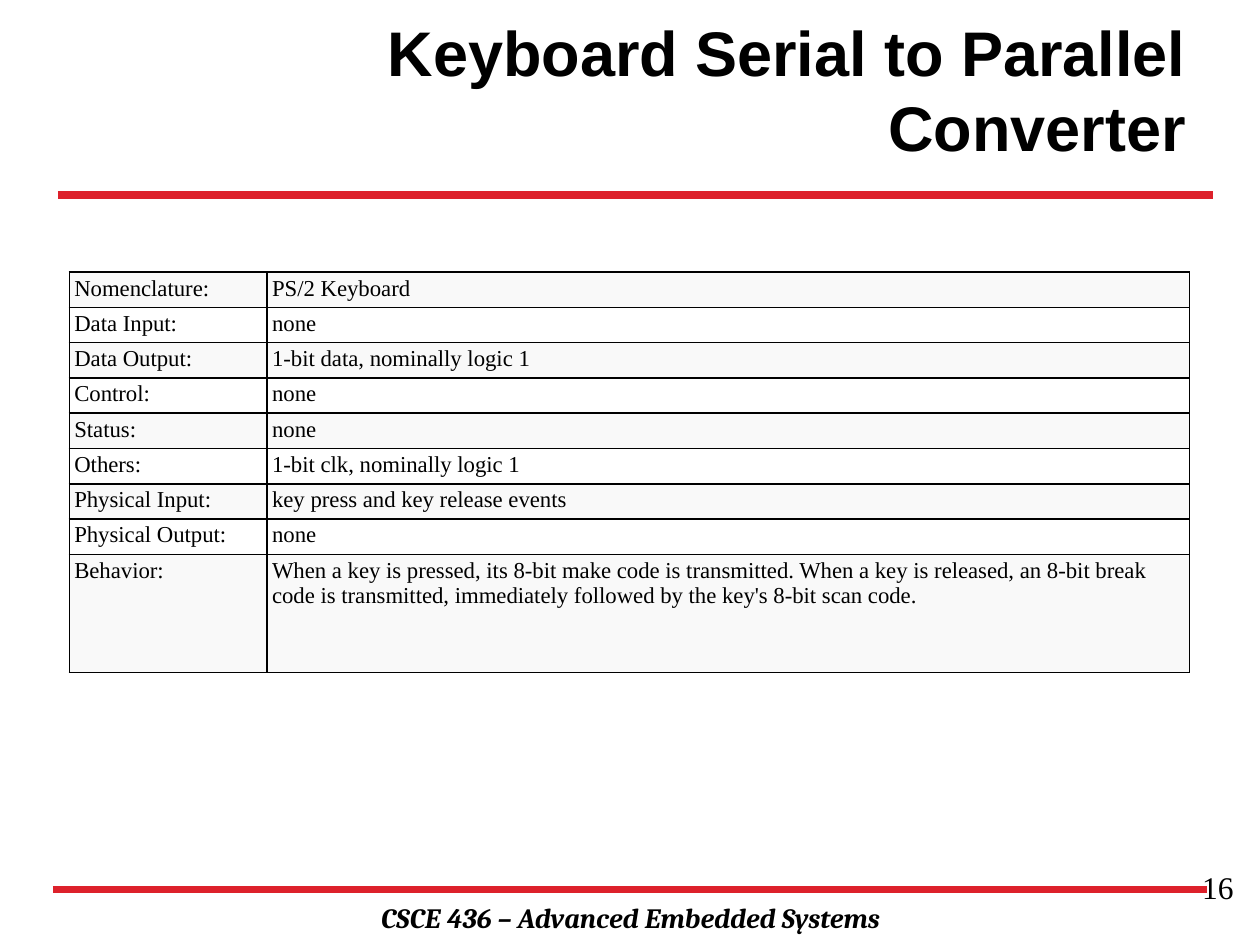
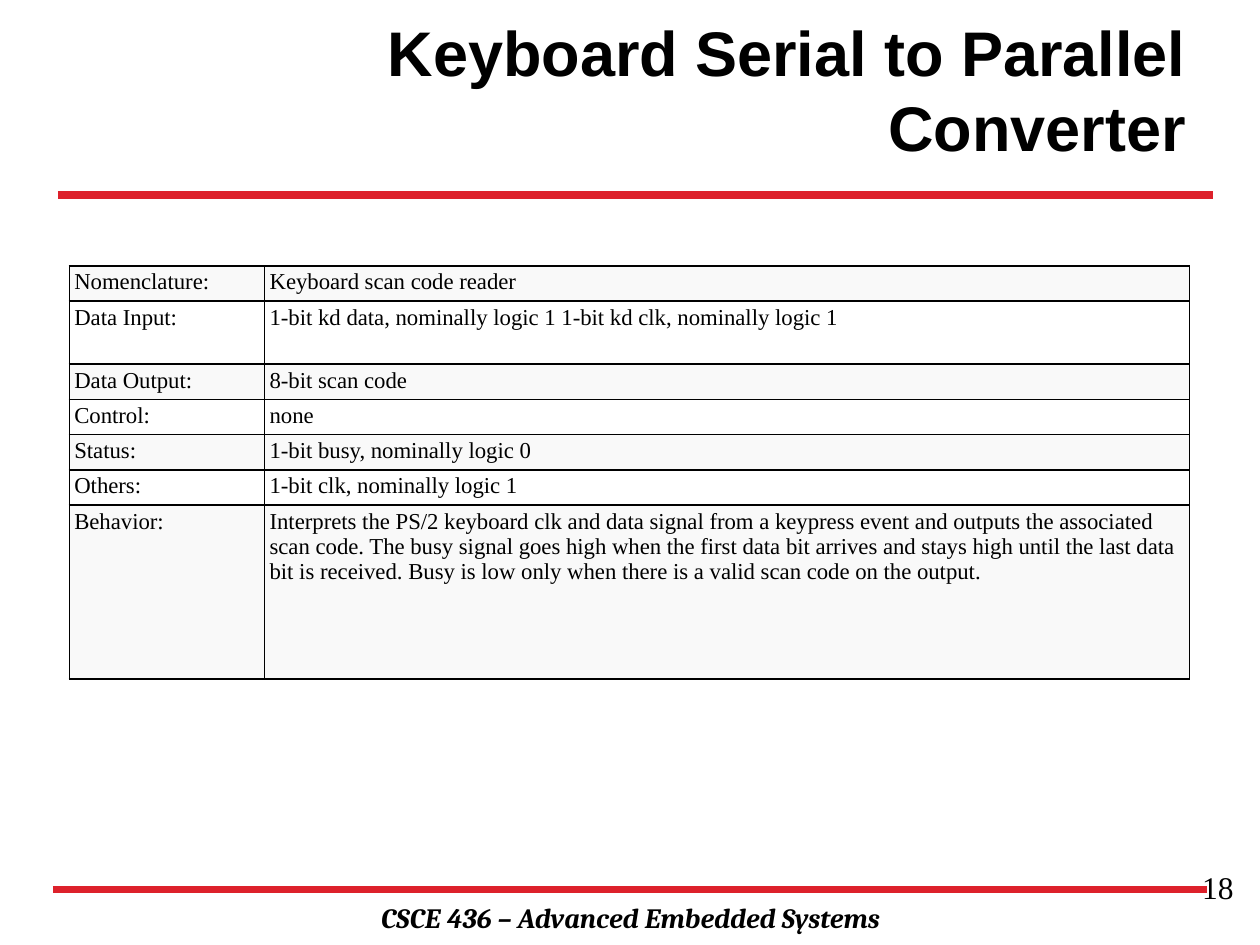
from pptx import Presentation
from pptx.dml.color import RGBColor
from pptx.enum.shapes import MSO_CONNECTOR as CONN
from pptx.enum.text import MSO_ANCHOR as ANCHOR, PP_ALIGN as ALIGN
from pptx.oxml.ns import qn
from pptx.util import Pt
from lxml.etree import SubElement

PX = 9144  # 100 px to the inch
BLACK = RGBColor(0x00, 0x00, 0x00)
WHITE = RGBColor(0xFF, 0xFF, 0xFF)
RED = RGBColor(0xDD, 0x21, 0x2B)
PALE_GREY = RGBColor(0xF9, 0xF9, 0xF9)
SERIF = "Times New Roman"

TITLE = "Keyboard Serial to Parallel Converter"
COURSE = "CSCE 436 – Advanced Embedded Systems"
TABLE_LEFT, TABLE_WIDTH, ROW_HEIGHT = 55, 889, 28

KEYBOARD_ROWS = [
    ("Nomenclature:", "PS/2 Keyboard"),
    ("Data Input:", "none"),
    ("Data Output:", "1-bit data, nominally logic 1"),
    ("Control:", "none"),
    ("Status:", "none"),
    ("Others:", "1-bit clk, nominally logic 1"),
    ("Physical Input:", "key press and key release events"),
    ("Physical Output:", "none"),
    ("Behavior:", "When a key is pressed, its 8-bit make code is transmitted. "
     "When a key is released, an 8-bit break code is transmitted, "
     "immediately followed by the key's 8-bit scan code."),
]
READER_ROWS = [
    ("Nomenclature:", "Keyboard scan code reader"),
    ("Data Input:", "1-bit kd data, nominally logic 1 1-bit kd clk, nominally logic 1"),
    ("Data Output:", "8-bit scan code"),
    ("Control:", "none"),
    ("Status:", "1-bit busy, nominally logic 0"),
    ("Others:", "1-bit clk, nominally logic 1"),
    ("Behavior:", "Interprets the PS/2 keyboard clk and data signal from a keypress "
     "event and outputs the associated scan code. The busy signal goes high when the "
     "first data bit arrives and stays high until the last data bit is received. "
     "Busy is low only when there is a valid scan code on the output."),
]


def px(*lengths):
    return [n * PX for n in lengths]


def write(tf, text, size, font, align=ALIGN.LEFT, bold=False, italic=False):
    tf.word_wrap = True
    tf.text = text
    p = tf.paragraphs[0]
    p.alignment = align
    f = p.runs[0].font
    f.name, f.size, f.bold, f.italic = font, Pt(size), bold, italic
    f.color.rgb = BLACK


def add_text(s, box, text, size, font, align, anchor=ANCHOR.TOP, **style):
    tf = s.shapes.add_textbox(*px(*box)).text_frame
    write(tf, text, size, font, align, **style)
    tf.vertical_anchor = anchor


def add_rule(s, left, right, y):
    line = s.shapes.add_connector(CONN.STRAIGHT, *px(left, y, right, y))
    line.line.color.rgb = RED
    line.line.width = Pt(4.5)
    SubElement(line._element.spPr, qn("a:effectLst"))


def add_borders(cell):
    tc_pr = cell._tc.get_or_add_tcPr()
    for side in ("L", "R", "T", "B"):
        ln = SubElement(tc_pr, qn(f"a:ln{side}"), w=str(Pt(1)))
        fill = SubElement(ln, qn("a:solidFill"))
        SubElement(fill, qn("a:srgbClr"), val=str(BLACK))


def add_spec_table(s, top, label_width, rows, tall_rows):
    """Label and value table; tall_rows maps a row index to its height."""
    heights = [tall_rows.get(i, ROW_HEIGHT) for i in range(len(rows))]
    box = px(TABLE_LEFT, top, TABLE_WIDTH, sum(heights))
    table = s.shapes.add_table(len(rows), 2, *box).table
    table.first_row = table.horz_banding = False
    widths = px(label_width, TABLE_WIDTH - label_width)
    for col, width in zip(table.columns, widths):
        col.width = width
    for i, (texts, height) in enumerate(zip(rows, heights)):
        table.rows[i].height = height * PX
        for cell, text in zip(table.rows[i].cells, texts):
            cell.margin_left, cell.margin_right = px(4, 4)
            cell.margin_top, cell.margin_bottom = px(3, 3)
            write(cell.text_frame, text, 13, SERIF)
            add_borders(cell)
            cell.fill.solid()
            cell.fill.fore_color.rgb = WHITE if i % 2 else PALE_GREY


def add_framed_slide(prs, number):
    """Slide with the shared title, red rules, course footer and page number."""
    s = prs.slides.add_slide(prs.slide_layouts[6])
    add_rule(s, 42, 958, 706)
    add_rule(s, 46, 963, 155)
    add_text(s, (142, 710, 717, 37), COURSE, 16, "Cambria", ALIGN.CENTER,
             bold=True, italic=True)
    add_text(s, (209, 8, 742, 125), TITLE, 36, "Arial", ALIGN.RIGHT,
             ANCHOR.MIDDLE, bold=True)
    add_text(s, (756, 684, 233, 52), str(number), 18, SERIF, ALIGN.RIGHT)
    return s


def main():
    prs = Presentation()
    prs.slide_width, prs.slide_height = px(1000, 750)
    add_spec_table(add_framed_slide(prs, 16), 216, 157, KEYBOARD_ROWS, {8: 94})
    add_spec_table(add_framed_slide(prs, 18), 211, 155, READER_ROWS, {1: 50, 6: 138})
    prs.save("out.pptx")


if __name__ == "__main__":
    main()
